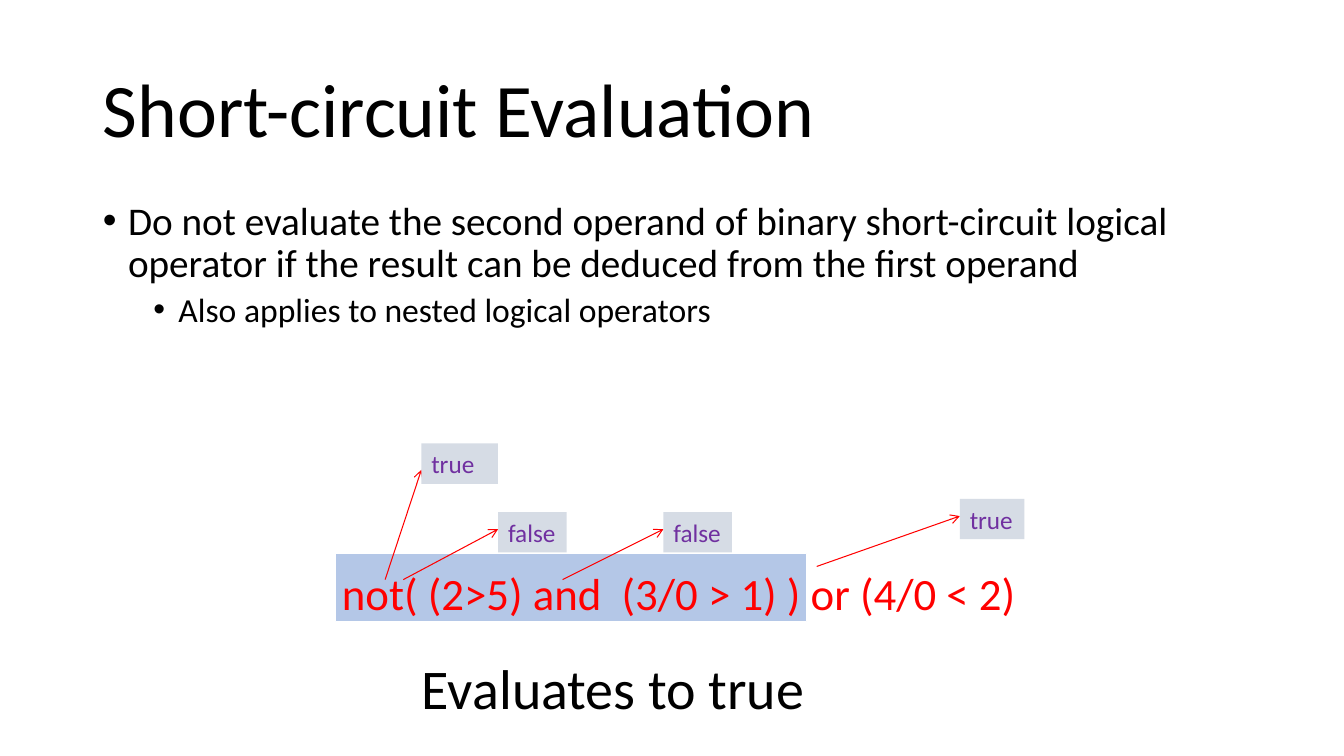
from typing import NamedTuple

from pptx import Presentation
from pptx.dml.color import RGBColor
from pptx.enum.shapes import MSO_CONNECTOR, MSO_SHAPE
from pptx.enum.text import MSO_ANCHOR, MSO_AUTO_SIZE, PP_ALIGN
from pptx.oxml.ns import qn
from pptx.oxml.xmlchemy import OxmlElement
from pptx.util import Emu, Pt

SCALE = 9144
FONT = "Calibri"
BLACK = RGBColor(0x00, 0x00, 0x00)
WHITE = RGBColor(0xFF, 0xFF, 0xFF)
RED = RGBColor(0xFF, 0x00, 0x00)
PURPLE = RGBColor(0x70, 0x30, 0xA0)
BLUE = RGBColor(0xB4, 0xC7, 0xE7)
GREY = RGBColor(0xD6, 0xDC, 0xE5)


class Box(NamedTuple):
    left: int
    top: int
    width: int
    height: int


class Label(NamedTuple):
    text: str
    box: Box
    size: int
    color: RGBColor


class Tag(NamedTuple):
    text: str
    box: Box
    start: tuple[int, int]
    drop: int
    wrap: bool = False


class Bullet(NamedTuple):
    text: str
    level: int
    size: int
    indent: int
    before: int


TAGS = [
    Tag("false", Box(494, 508, 68, 40), (400, 575), 17),
    Tag("false", Box(658, 508, 68, 40), (558, 575), 17),
    Tag("true", Box(418, 440, 76, 40), (382, 575), 26, True),
    Tag("true", Box(952, 495, 64, 40), (810, 562), 17),
]
LABELS = [
    Label("not( (2>5) and  (3/0 > 1) ) or (4/0 < 2)", Box(286, 556, 775, 64), 32, RED),
    Label("Evaluates to true", Box(389, 643, 438, 77), 40, BLACK),
]
BULLETS = [
    Bullet(
        "Do not evaluate the second operand of binary short-circuit logical "
        "operator if the result can be deduced from the first operand",
        0, 28, 25, 0,
    ),
    Bullet("Also applies to nested logical operators", 1, 24, 75, 5),
]


def px(value: int) -> Emu:
    return Emu(value * SCALE)


def place(shape, box: Box) -> None:
    shape.left, shape.top, shape.width, shape.height = map(px, box)


def write(para, text: str, size: int, color: RGBColor) -> None:
    run = para.add_run()
    run.text = text
    run.font.name = FONT
    run.font.size = Pt(size)
    run.font.color.rgb = color


def add_title(slide, text: str) -> None:
    title = slide.shapes.title
    place(title, Box(92, 40, 1150, 145))
    frame = title.text_frame
    frame.auto_size = MSO_AUTO_SIZE.NONE
    frame.vertical_anchor = MSO_ANCHOR.MIDDLE
    para = frame.paragraphs[0]
    para.alignment = PP_ALIGN.LEFT
    para.line_spacing = 0.9
    write(para, text, 54, BLACK)


def add_list(slide) -> None:
    body = slide.placeholders[1]
    place(body, Box(92, 195, 1150, 480))
    frame = body.text_frame
    frame.auto_size = MSO_AUTO_SIZE.NONE
    for index, item in enumerate(BULLETS):
        para = frame.add_paragraph() if index else frame.paragraphs[0]
        para.level = item.level
        props = para._p.get_or_add_pPr()
        props.set("marL", str(px(item.indent)))
        props.set("indent", str(px(-25)))
        font = OxmlElement("a:buFont")
        font.set("typeface", "Arial")
        mark = OxmlElement("a:buChar")
        mark.set("char", "•")
        props.extend([font, mark])
        para.line_spacing = 0.9
        para.space_before = Pt(item.before)
        write(para, item.text, item.size, BLACK)


def add_band(slide) -> None:
    band = slide.shapes.add_shape(MSO_SHAPE.RECTANGLE, *map(px, Box(333, 549, 467, 68)))
    band.shadow.inherit = False
    band.fill.solid()
    band.fill.fore_color.rgb = BLUE
    band.line.color.rgb = WHITE
    band.line.width = Pt(0.75)


def add_text(slide, label: Label, align: PP_ALIGN, wrap: bool):
    shape = slide.shapes.add_textbox(*map(px, label.box))
    frame = shape.text_frame
    frame.word_wrap = wrap
    frame.auto_size = MSO_AUTO_SIZE.SHAPE_TO_FIT_TEXT
    para = frame.paragraphs[0]
    para.alignment = align
    write(para, label.text, label.size, label.color)
    return shape


def add_tag(slide, tag: Tag) -> None:
    end = (tag.box.left, tag.box.top + tag.drop)
    arrow = slide.shapes.add_connector(MSO_CONNECTOR.STRAIGHT, *map(px, tag.start + end))
    arrow.line.color.rgb = RED
    arrow.line.width = Pt(0.75)
    props = arrow._element.spPr
    tail = OxmlElement("a:tailEnd")
    tail.set("type", "arrow")
    props.find(qn("a:ln")).append(tail)
    props.append(OxmlElement("a:effectLst"))
    shape = add_text(slide, Label(tag.text, tag.box, 18, PURPLE), PP_ALIGN.LEFT, tag.wrap)
    shape.fill.solid()
    shape.fill.fore_color.rgb = GREY


def main() -> None:
    deck = Presentation()
    deck.slide_width, deck.slide_height = px(1333), px(750)
    slide = deck.slides.add_slide(deck.slide_layouts[1])
    add_title(slide, "Short-circuit Evaluation")
    add_list(slide)
    add_band(slide)
    for tag in TAGS:
        add_tag(slide, tag)
    for label in LABELS:
        add_text(slide, label, PP_ALIGN.CENTER, True)
    deck.save("out.pptx")


if __name__ == "__main__":
    main()
